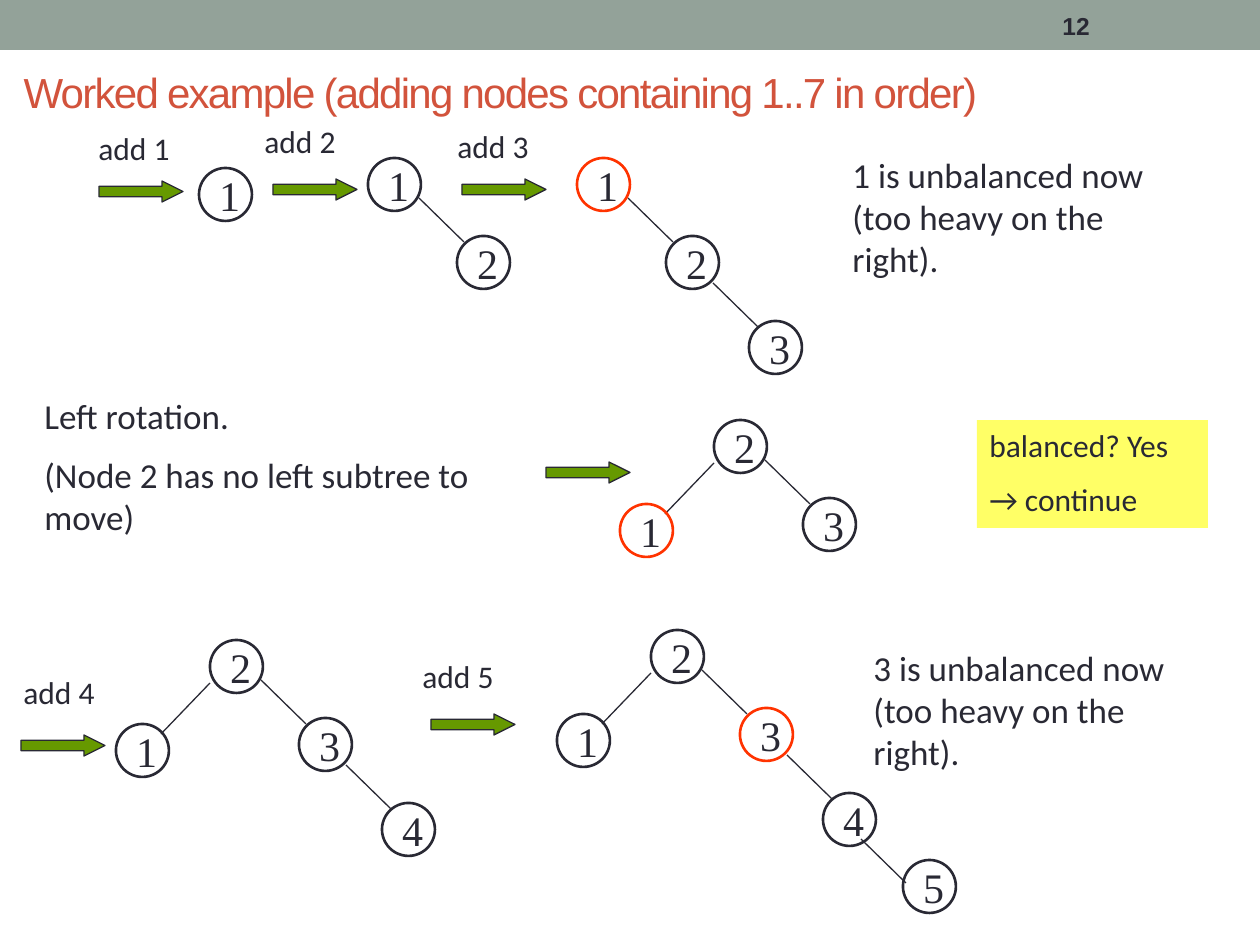
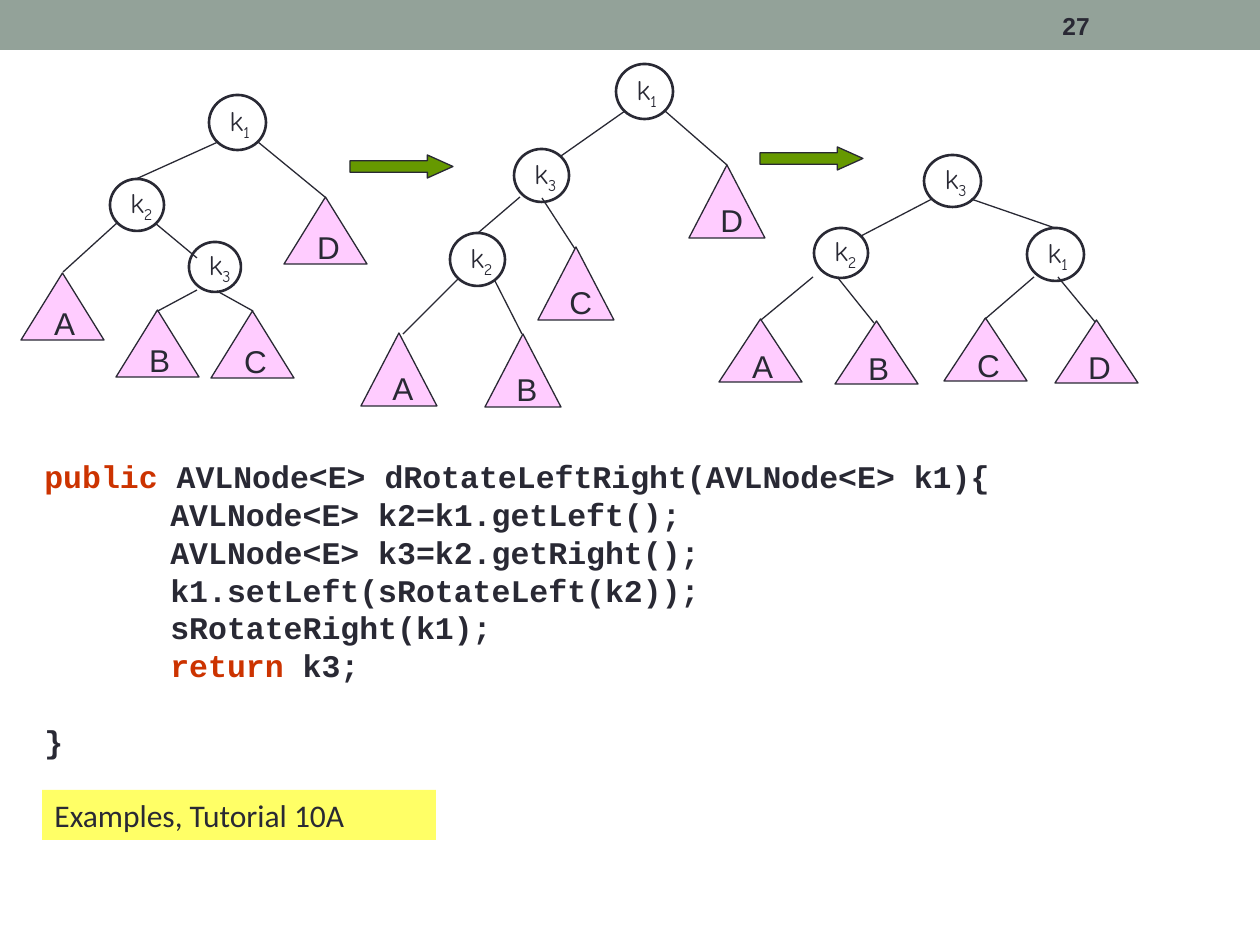
from lxml import etree
from pptx import Presentation
from pptx import util as u
from pptx.dml.color import RGBColor
from pptx.enum import shapes, text
from pptx.oxml.ns import qn

EMU_PER_PX = 914400 / 126
COLORS = {
    "ink": "292934", "band": "93A299", "title": "D2533C", "hot": "FF3300",
    "arrow": "669900", "subtree": "FFCCFF", "note": "FFFF66",
    "keyword": "CC3300", "paper": "FFFFFF",
}
FONTS = {
    "title": {"name": "Arial", "size": u.Pt(24), "bold": False},
    "number": {"name": "Arial", "size": u.Pt(14), "bold": True},
    "node": {"name": "Times New Roman", "size": u.Pt(24)},
    "key": {"name": "Comic Neue", "size": u.Pt(16)},
    "subtree": {"name": "Arial", "size": u.Pt(18)},
    "label": {"name": "Calibri", "size": u.Pt(18)},
    "remark": {"name": "Calibri", "size": u.Pt(20)},
    "code": {"name": "Courier New", "size": u.Pt(18), "bold": True},
}
CODE_LINE = u.Pt(21.6)

# Child offset from its parent, edge start within the parent, edge extent
LEFT = (-94, 84, 0, 43, -49, 51)
RIGHT = (89, 78, 51, 40, 45, 44)
DEEP = (83, 85, 47, 47, 45, 44)
DEEPEST = (80, 67, 38, 46, 45, 44)


def px(*lengths):
    return [u.Emu(round(length * EMU_PER_PX)) for length in lengths]


def rgb(color):
    return RGBColor.from_string(COLORS[color])


class Deck:
    def __init__(self):
        self.prs = Presentation()
        self.prs.slide_width, self.prs.slide_height = px(1260, 945)
        self.slide = None

    def start_slide(self, number, title=None):
        layout = self.prs.slide_layouts[5 if title else 6]
        self.slide = self.prs.slides.add_slide(layout)
        self.shape(shapes.MSO_SHAPE.RECTANGLE, (0, 0, 1260, 50), "band")
        if title:
            self.title(title)
        self.label(str(number), (1050, 3, 147, 45), "number", middle=True)

    def title(self, words):
        heading = self.slide.shapes.title
        heading.left, heading.top, heading.width, heading.height = px(11, 37, 1196, 110)
        self.frame(heading, middle=True)
        run = self.words(heading.text_frame.paragraphs[0], words, "title", "title")
        run.font._element.set("spc", "-100")

    def words(self, paragraph, words, style, color="ink"):
        paragraph.alignment = text.PP_ALIGN.LEFT
        run = paragraph.add_run()
        run.text = words
        for name, value in FONTS[style].items():
            setattr(run.font, name, value)
        run.font.color.rgb = rgb(color)
        return run

    def frame(self, shape, middle=False, wrap=True):
        settings = {
            "word_wrap": wrap,
            "auto_size": text.MSO_AUTO_SIZE.NONE,
            "vertical_anchor": text.MSO_ANCHOR.MIDDLE if middle else text.MSO_ANCHOR.TOP,
        }
        for name, value in settings.items():
            setattr(shape.text_frame, name, value)

    def shape(self, kind, box, fill=None, line=None, weight=0.75):
        shape = self.slide.shapes.add_shape(kind, *px(*box))
        shape.shadow.inherit = False
        if fill:
            shape.fill.solid()
            shape.fill.fore_color.rgb = rgb(fill)
        else:
            shape.fill.background()
        if line:
            shape.line.color.rgb = rgb(line)
            shape.line.width = u.Pt(weight)
        else:
            shape.line.fill.background()
        return shape

    def label(self, words, box, style, fill=None, middle=False):
        """Each line of words is a paragraph, set half a line apart."""
        if fill:
            holder = self.shape(shapes.MSO_SHAPE.RECTANGLE, box, fill)
        else:
            holder = self.slide.shapes.add_textbox(*px(*box))
        self.frame(holder, middle)
        for index, line in enumerate(words.split("\n")):
            if index:
                paragraph = holder.text_frame.add_paragraph()
                paragraph.space_before = u.Emu(FONTS[style]["size"] // 2)
            else:
                paragraph = holder.text_frame.paragraphs[0]
            self.words(paragraph, line, style)

    def node(self, label, box, style="node", outline="ink", subscript=None):
        circle = self.shape(shapes.MSO_SHAPE.OVAL, box, line=outline, weight=1.5)
        self.frame(circle, middle=True, wrap=False)
        paragraph = circle.text_frame.paragraphs[0]
        self.words(paragraph, label, style)
        if subscript:
            index = self.words(paragraph, subscript, style)
            index.font._element.set("baseline", "-25000")

    def subtree(self, label, box):
        triangle = self.shape(shapes.MSO_SHAPE.ISOSCELES_TRIANGLE, box, "subtree", "ink")
        self.frame(triangle, middle=True, wrap=False)
        self.words(triangle.text_frame.paragraphs[0], label, "subtree")

    def edge(self, x1, y1, x2, y2):
        edge = self.slide.shapes.add_connector(
            shapes.MSO_CONNECTOR.STRAIGHT, *px(x1, y1, x2, y2))
        edge.line.color.rgb = rgb("ink")
        edge.line.width = u.Pt(0.75)
        etree.SubElement(edge._element.spPr, qn("a:effectLst"))

    def arrow(self, x, y, width=84, height=21, head=1):
        arrow = self.shape(
            shapes.MSO_SHAPE.RIGHT_ARROW, (x, y, width, height), "arrow", "ink")
        arrow.adjustments[0], arrow.adjustments[1] = 0.5, head

    def number_tree(self, root, x, y, branches=(), unbalanced=None):
        """Draw a tree from (child, parent, step) branches, parents first."""
        places = {root: (x, y)}
        for child, parent, (dx, dy, start_x, start_y, run, rise) in branches:
            parent_x, parent_y = places[parent]
            places[child] = (parent_x + dx, parent_y + dy)
            x1, y1 = parent_x + start_x, parent_y + start_y
            self.edge(x1, y1, x1 + run, y1 + rise)
        for label, place in places.items():
            outline = "hot" if label == unbalanced else "ink"
            self.node(label, (*place, 53, 53), outline=outline)

    def key_tree(self, keys, subtree_size, subtrees, edges):
        for edge in edges:
            self.edge(*edge)
        for index, box in keys.items():
            self.node("k", box, "key", subscript=index)
        for label, place in subtrees.items():
            self.subtree(label, (*place, *subtree_size))

    def code(self, lines, box):
        """Each line is (tabbed, blank lines before, [(words, color), ...])."""
        panel = self.shape(shapes.MSO_SHAPE.RECTANGLE, box, "paper")
        self.frame(panel)
        body = panel.text_frame
        for index, (tabbed, blanks, parts) in enumerate(lines):
            paragraph = body.add_paragraph() if index else body.paragraphs[0]
            paragraph.line_spacing = CODE_LINE
            if blanks:
                paragraph.space_before = u.Emu(CODE_LINE * blanks)
            if tabbed:
                stops = etree.SubElement(paragraph._p.get_or_add_pPr(), qn("a:tabLst"))
                etree.SubElement(stops, qn("a:tab"), pos=str(px(126)[0]), algn="l")
                self.words(paragraph, "\t", "code")
            for words, color in parts:
                self.words(paragraph, words, "code", color)


def worked_example(deck):
    deck.start_slide(12, "Worked example (adding nodes containing 1..7 in order)")
    three = [("1", "2", LEFT), ("3", "2", RIGHT)]
    four = three + [("4", "3", DEEP)]

    deck.number_tree("1", 199, 168)
    deck.number_tree("1", 368, 158, [("2", "1", RIGHT)])
    deck.number_tree("1", 577, 158, [("2", "1", RIGHT), ("3", "2", DEEP)], "1")
    deck.number_tree("2", 714, 420, three, "1")
    deck.number_tree("2", 210, 640, four)
    deck.number_tree("2", 651, 630, four + [("5", "4", DEEPEST)], "3")

    for place in [(99, 181), (273, 179), (462, 179), (546, 462), (21, 735), (431, 714)]:
        deck.arrow(*place)
    additions = [(86, 123), (252, 116), (445, 121), (11, 667), (410, 651)]
    for value, place in enumerate(additions, 1):
        deck.label(f"add {value}", (*place, 126, 50), "label")

    for value, x, y in [(1, 840, 147), (3, 861, 640)]:
        deck.label(f"{value} is unbalanced now (too heavy on the right).",
                   (x, y, 347, 139), "remark")
    deck.label("Left rotation.\n(Node 2 has no left subtree to move)",
               (32, 388, 504, 160), "remark")
    deck.label("balanced? Yes\n→ continue", (977, 420, 231, 108), "label", "note")


def double_rotation(deck):
    deck.start_slide(27)
    deck.key_tree(
        {"1": (209, 95, 57, 55), "2": (110, 179, 54, 52), "3": (189, 242, 52, 50)},
        (83, 67),
        {"A": (21, 273), "B": (116, 310), "C": (211, 311), "D": (284, 197)},
        [(218, 142, 136, 179), (258, 142, 325, 197), (155, 223, 197, 258),
         (117, 223, 63, 272), (197, 290, 156, 312), (217, 291, 253, 311)])
    deck.key_tree(
        {"1": (616, 64, 57, 55), "2": (450, 233, 55, 53), "3": (514, 149, 55, 53)},
        (76, 73),
        {"A": (361, 333), "B": (485, 334), "C": (538, 247), "D": (689, 165)},
        [(625, 111, 561, 156), (665, 111, 727, 165), (520, 197, 478, 233),
         (495, 281, 522, 334), (459, 278, 403, 334), (542, 198, 575, 249)])
    deck.key_tree(
        {"3": (924, 155, 57, 52), "2": (814, 228, 54, 50), "1": (1027, 228, 57, 53)},
        (83, 63),
        {"A": (719, 319), "B": (835, 321), "C": (944, 318), "D": (1055, 320)},
        [(932, 199, 861, 236), (971, 199, 1055, 228), (1034, 277, 984, 320),
         (1058, 277, 1096, 323), (813, 277, 761, 320), (838, 278, 874, 323)])
    for place in [(350, 155), (760, 147)]:
        deck.arrow(*place, 103, 23, 1.11)

    statements = ["AVLNode<E> k2=k1.getLeft();", "AVLNode<E> k3=k2.getRight();",
                  "k1.setLeft(sRotateLeft(k2));", "sRotateRight(k1);"]
    deck.code([
        (False, 0, [("public ", "keyword"),
                    ("AVLNode<E> dRotateLeftRight(AVLNode<E> k1){", "ink")]),
        *[(True, 0, [(statement, "ink")]) for statement in statements],
        (True, 0, [("return", "keyword"), (" k3;", "ink")]),
        (False, 1, [("}", "ink")]),
    ], (32, 451, 1134, 318))
    deck.label("Examples, Tutorial 10A", (42, 790, 394, 50), "label", "note")


def main():
    deck = Deck()
    worked_example(deck)
    double_rotation(deck)
    deck.prs.save("out.pptx")


if __name__ == "__main__":
    main()
